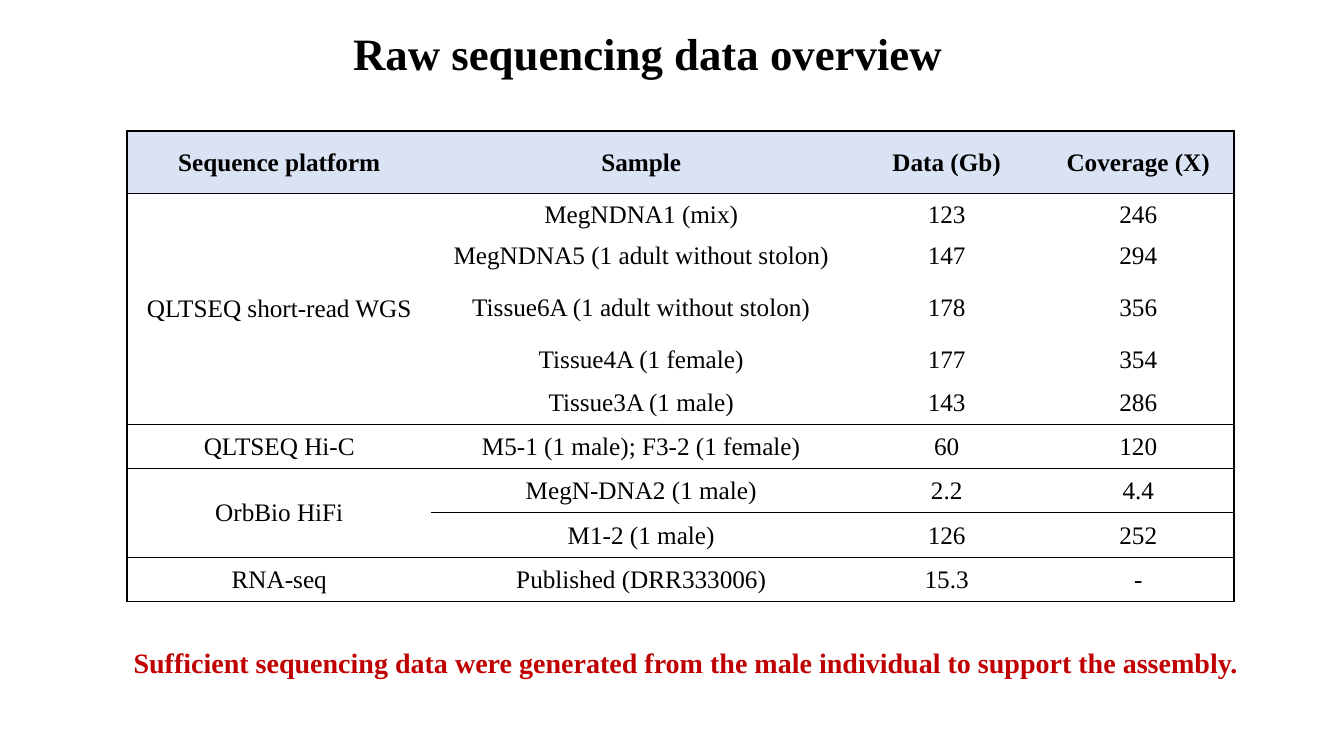
from lxml.etree import SubElement
from pptx import Presentation
from pptx.dml.color import RGBColor as Color
from pptx.enum.text import MSO_ANCHOR as Anchor, PP_ALIGN as Align
from pptx.oxml.ns import qn
from pptx.util import Inches, Pt

TITLE = "Raw sequencing data overview"
CONCLUSION = "Sufficient sequencing data were generated from the male individual to support the assembly."
HEADER = ("Sequence platform", "Sample", "Data (Gb)", "Coverage (X)")
PLATFORMS = [
    ("QLTSEQ short-read WGS", [
        ("MegNDNA1 (mix)", "123", "246"),
        ("MegNDNA5 (1 adult without stolon)", "147", "294"),
        ("Tissue6A (1 adult without stolon)", "178", "356"),
        ("Tissue4A (1 female)", "177", "354"),
        ("Tissue3A (1 male)", "143", "286"),
    ]),
    ("QLTSEQ Hi-C", [("M5-1 (1 male); F3-2 (1 female)", "60", "120")]),
    ("OrbBio HiFi", [
        ("MegN-DNA2 (1 male)", "2.2", "4.4"),
        ("M1-2 (1 male)", "126", "252"),
    ]),
    ("RNA-seq", [("Published (DRR333006)", "15.3", "-")]),
]
COLUMN_WIDTHS = (3.02, 4.16, 1.9, 1.9)
ROW_HEIGHTS = (0.62, 0.41, 0.41, 0.62, 0.41) + (0.44,) * 5
UNRULED_ROWS = range(2, 6)
THEME = {
    "font": "Times New Roman",
    "ink": "000000",
    "accent": "C00000",
    "header": "DAE3F3",
    "title_size": 32,
    "table_size": 18,
    "conclusion_size": 20,
    "rule": 1,
}
NO_STYLE = "{2D5ABB26-0587-4C30-8999-92F81FD0307C}"


def write(frame, text, size, color="ink", bold=False):
    frame.text = text
    para = frame.paragraphs[0]
    para.alignment = Align.CENTER
    for span in para.runs:
        span.font.name = THEME["font"]
        span.font.size = Pt(THEME[size])
        span.font.bold = bold
        span.font.color.rgb = Color.from_string(THEME[color])
    return para


def add_text(page, place, text, size, color="ink"):
    box = page.shapes.add_textbox(*map(Inches, place))
    box.text_frame.word_wrap = True
    return box.text_frame, write(box.text_frame, text, size, color, True)


def add_borders(cell, sides):
    properties = cell._tc.get_or_add_tcPr()
    for side, shown in sides.items():
        line = SubElement(properties, qn(f"a:ln{side}"), w=str(Pt(THEME["rule"])))
        if shown:
            fill = SubElement(line, qn("a:solidFill"))
            SubElement(fill, qn("a:srgbClr"), val=THEME["ink"])
        else:
            SubElement(line, qn("a:noFill"))


def add_data_table(page):
    rows = [HEADER]
    merges = []
    for platform, samples in PLATFORMS:
        merges.append((len(rows), len(rows) + len(samples) - 1))
        for index, sample in enumerate(samples):
            rows.append(("" if index else platform,) + sample)

    shape = page.shapes.add_table(
        len(rows), len(HEADER), Inches(1.26), Inches(1.3),
        Inches(sum(COLUMN_WIDTHS)), Inches(sum(ROW_HEIGHTS)))
    table = shape.table
    table._tbl.tblPr.find(qn("a:tableStyleId")).text = NO_STYLE
    table.first_row = table.horz_banding = False
    for column, width in zip(table.columns, COLUMN_WIDTHS):
        column.width = Inches(width)
    for row, height in zip(table.rows, ROW_HEIGHTS):
        row.height = Inches(height)

    platform_starts = {first for first, last in merges}

    def ruled_above(row, column):
        if row in (0, len(rows)):
            return True
        if column == 0:
            return row in platform_starts
        return row not in UNRULED_ROWS

    for r, values in enumerate(rows):
        for c, value in enumerate(values):
            cell = table.cell(r, c)
            write(cell.text_frame, value, "table_size", bold=r == 0)
            cell.vertical_anchor = Anchor.MIDDLE
            cell.margin_left = cell.margin_right = cell.margin_top = Inches(0.01)
            cell.margin_bottom = 0
            add_borders(cell, {
                "L": c == 0,
                "R": c == len(HEADER) - 1,
                "T": ruled_above(r, c),
                "B": ruled_above(r + 1, c),
            })
            if r == 0:
                cell.fill.solid()
                cell.fill.fore_color.rgb = Color.from_string(THEME["header"])
            else:
                cell.fill.background()

    for first, last in merges:
        if last > first:
            table.cell(first, 0).merge(table.cell(last, 0))
            add_bottom = table.cell(first, 0)._tc.tcPr.find(qn("a:lnB"))
            add_bottom.remove(add_bottom[0])
            fill = SubElement(add_bottom, qn("a:solidFill"))
            SubElement(fill, qn("a:srgbClr"), val=THEME["ink"])


def main():
    deck = Presentation()
    deck.slide_width, deck.slide_height = Inches(13.33), Inches(7.5)
    page = deck.slides.add_slide(deck.slide_layouts[6])
    add_data_table(page)
    frame, para = add_text(page, (2.27, 0.31, 8.31, 0.54), TITLE, "title_size")
    frame.vertical_anchor = Anchor.BOTTOM
    para.line_spacing = 0.9
    add_text(page, (0.59, 6.35, 12.43, 0.44), CONCLUSION, "conclusion_size", "accent")
    deck.save("out.pptx")


if __name__ == "__main__":
    main()
